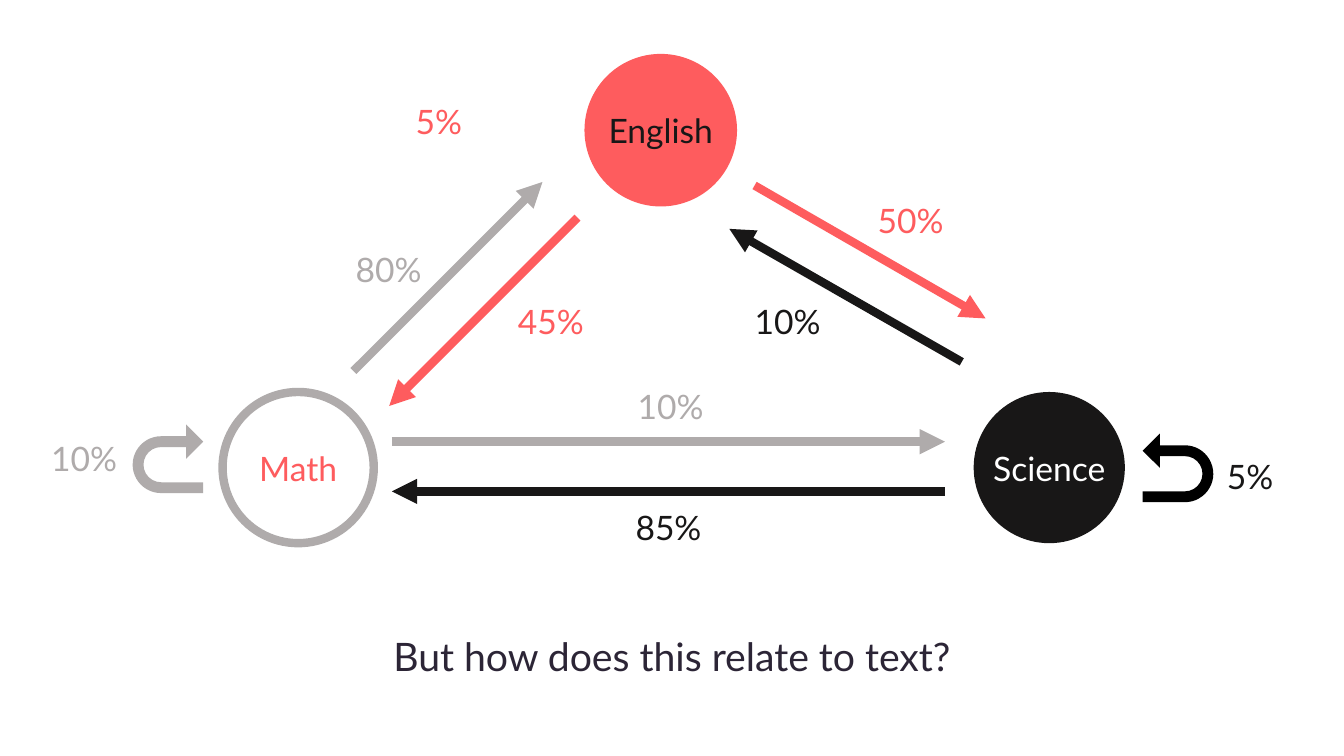
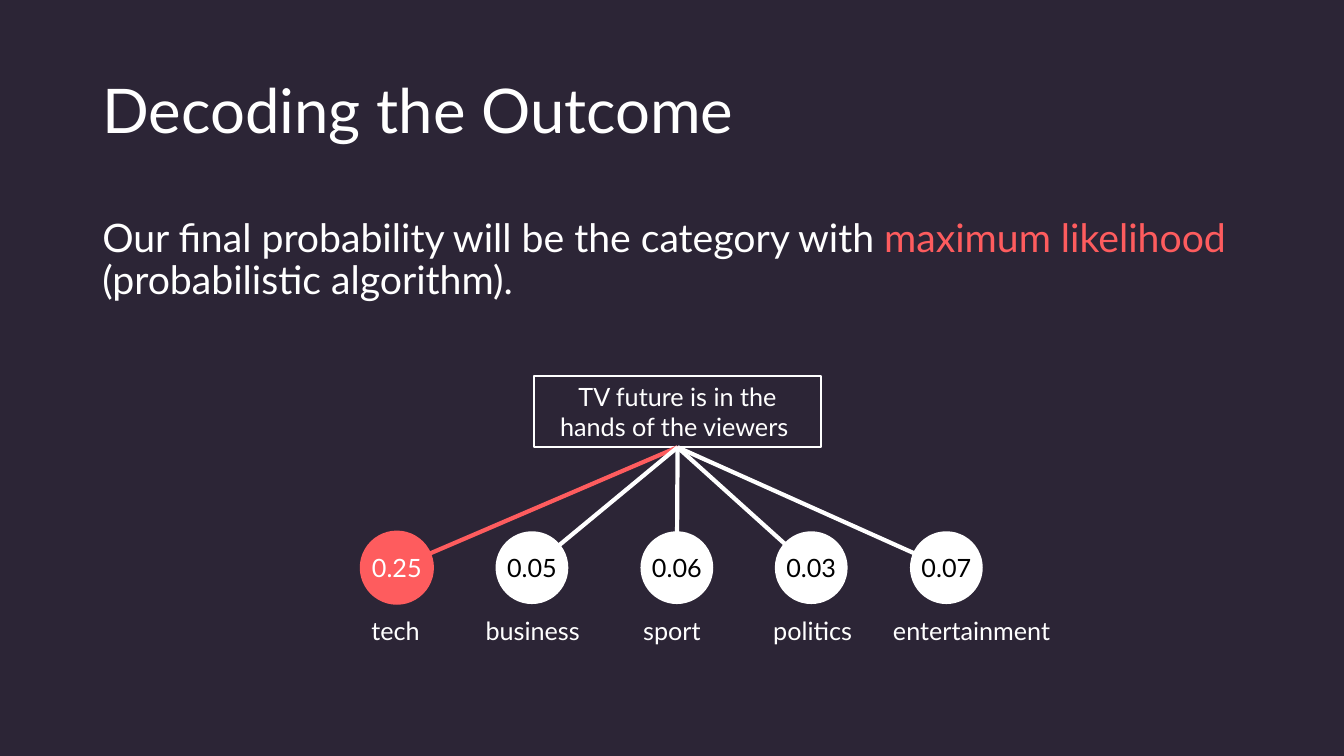
"""Build two slides: a subject transition diagram and the decoding of a category."""
import pptx
import pptx.util
import pptx.dml.color
import pptx.enum.shapes
import pptx.enum.text
import pptx.oxml
import pptx.oxml.ns

Pt = pptx.util.Pt
SHAPES = pptx.enum.shapes.MSO_SHAPE
ALIGN = pptx.enum.text.PP_ALIGN
ANCHOR = pptx.enum.text.MSO_ANCHOR
TITLE_ONLY, BLANK = 5, 6

COLORS = {
    "coral": "FE5C5E",
    "gray": "AFABAB",
    "ink": "181717",
    "black": "000000",
    "white": "FFFFFF",
    "night": "2C2536",
}


def rgb(name):
    return pptx.dml.color.RGBColor.from_string(COLORS[name])


def set_all(target, values):
    for name, value in values.items():
        setattr(target, name, value)


class Deck:
    font = "Lato"
    body_format = {"line_spacing": 0.9, "space_before": Pt(10)}

    def __init__(self):
        self.presentation = pptx.Presentation()
        set_all(self.presentation, {"slide_width": Pt(960), "slide_height": Pt(540)})
        self.slide = None

    def add_slide(self, layout, background):
        layouts = self.presentation.slide_layouts
        self.slide = self.presentation.slides.add_slide(layouts[layout])
        fill = self.slide.background.fill
        fill.solid()
        fill.fore_color.rgb = rgb(background)

    def add_text(self, shape, runs, size, align=ALIGN.CENTER, anchor=ANCHOR.MIDDLE,
                 paragraph_format=None, frame_format=None):
        frame = shape.text_frame
        set_all(frame, {"word_wrap": True, "vertical_anchor": anchor, **(frame_format or {})})
        paragraph = frame.paragraphs[0]
        set_all(paragraph, {"alignment": align, **(paragraph_format or {})})
        for text, color in runs:
            run = paragraph.add_run()
            run.text = text
            set_all(run.font, {"name": self.font, "size": Pt(size)})
            run.font.color.rgb = rgb(color)

    def title(self, text, color):
        shape = self.slide.shapes.title
        set_all(shape, {"left": Pt(66), "top": Pt(29), "width": Pt(828), "height": Pt(104.5)})
        self.add_text(shape, [(text, color)], 44, ALIGN.LEFT,
                      paragraph_format={"line_spacing": 0.9})

    def body(self, top, width, height, runs, align, anchor):
        box = self.slide.shapes.add_textbox(Pt(66), Pt(top), Pt(width), Pt(height))
        self.add_text(box, runs, 28, align, anchor, self.body_format)

    def label(self, x, y, text, color, size=24):
        width, height = 144, 36
        box = self.slide.shapes.add_textbox(
            Pt(x - width / 2), Pt(y - height / 2), Pt(width), Pt(height))
        self.add_text(box, [(text, color)], size)

    def shape(self, kind, left, top, width, height, fill=None, line=None, weight=1):
        shape = self.slide.shapes.add_shape(kind, Pt(left), Pt(top), Pt(width), Pt(height))
        shape.shadow.inherit = False
        for paint, color in ((shape.fill, fill), (shape.line.fill, line)):
            if color:
                paint.solid()
                paint.fore_color.rgb = rgb(color)
            else:
                paint.background()
        if line:
            shape.line.width = Pt(weight)
        return shape

    def circle(self, x, y, diameter, text, color, size, fill, line=None, weight=1):
        shape = self.shape(SHAPES.OVAL, x - diameter / 2, y - diameter / 2,
                           diameter, diameter, fill, line, weight)
        margins = dict.fromkeys(
            ("margin_left", "margin_right", "margin_top", "margin_bottom"), 0)
        self.add_text(shape, [(text, color)], size,
                      frame_format={**margins, "word_wrap": False})

    def loop_arrow(self, left, top, color, rotation, flipped=False):
        arrow = self.shape(SHAPES.U_TURN_ARROW, left, top, 49, 50.4, color)
        for index, value in enumerate((0.158, 0.25, 0.25, 0.438, 1)):
            arrow.adjustments[index] = value
        arrow.rotation = rotation
        if flipped:
            arrow.element.spPr.find(pptx.oxml.ns.qn("a:xfrm")).set("flipH", "1")

    def line(self, start, end, color, weight, arrowhead=False):
        connector = self.slide.shapes.add_connector(
            pptx.enum.shapes.MSO_CONNECTOR.STRAIGHT, *map(Pt, (*start, *end)))
        connector.line.color.rgb = rgb(color)
        connector.line.width = Pt(weight)
        properties = connector.element.spPr
        namespace = pptx.oxml.ns.nsdecls("a")
        if arrowhead:
            outline = properties.find(pptx.oxml.ns.qn("a:ln"))
            outline.append(pptx.oxml.parse_xml(f'<a:tailEnd {namespace} type="triangle"/>'))
        properties.append(pptx.oxml.parse_xml(f"<a:effectLst {namespace}/>"))
        return connector


def add_transitions(deck):
    deck.add_slide(BLANK, "white")
    for x, y, text, color, fill, line, weight in (
        (472, 93, "English", "ink", "coral", "coral", 1),
        (749.5, 334, "Science", "white", "ink", None, 1),
        (213, 334, "Math", "coral", "white", "gray", 6),
    ):
        deck.circle(x, y, 108, text, color, 24, fill, line, weight)
    for start, end, color in (
        ((675, 351), (280, 351), "ink"),
        ((280, 315.5), (675, 315.5), "gray"),
        ((412.5, 155.5), (278, 290), "coral"),
        ((252.5, 265), (387.5, 130), "gray"),
        ((687, 258.5), (521, 163.5), "ink"),
        ((539, 132.5), (704, 227.5), "coral"),
    ):
        deck.line(start, end, color, 6, arrowhead=True)
    deck.loop_arrow(817, 309, "black", 90, flipped=True)
    deck.loop_arrow(95.5, 302.5, "gray", 270)
    for x, y, text, color in (
        (313.5, 86.5, "5%", "coral"),
        (893, 340, "5%", "ink"),
        (60, 327.5, "10%", "gray"),
        (277.5, 192, "80%", "gray"),
        (479, 290, "10%", "gray"),
        (650.5, 157, "50%", "coral"),
        (393.5, 229, "45%", "coral"),
        (562.5, 229, "10%", "ink"),
        (477.5, 376.5, "85%", "ink"),
    ):
        deck.label(x, y, text, color)
    deck.body(433.5, 828, 73.5, [("But how does this relate to text?", "night")],
              ALIGN.CENTER, ANCHOR.MIDDLE)


def add_decoding(deck):
    deck.add_slide(TITLE_ONLY, "night")
    deck.title("Decoding the Outcome", "white")
    deck.body(152.5, 836, 81.5, [
        ("Our final probability will be the category with", "white"),
        (" maximum likelihood ", "coral"),
        ("(probabilistic algorithm).", "white"),
    ], ALIGN.LEFT, ANCHOR.TOP)
    headline = deck.shape(SHAPES.RECTANGLE, 381.5, 268.5, 205, 51, line="white", weight=1.5)
    deck.add_text(headline, [("TV future is in the hands of the viewers ", "white")], 18)
    circle_y = 405.5
    for x, label_x, value, category, fill, color, outline in (
        (283.5, 282.5, "0.25", "tech", "coral", "white", "coral"),
        (380, 380.5, "0.05", "business", "white", "black", None),
        (483.5, 480, "0.06", "sport", "white", "black", None),
        (579.5, 580.5, "0.03", "politics", "white", "black", None),
        (676, 694, "0.07", "entertainment", "white", "black", None),
    ):
        branch = deck.line((484, 319.5), (x, circle_y), fill, 3)
        branch.begin_connect(headline, 2)
        deck.circle(x, circle_y, 52, value, color, 18, fill, outline)
        deck.label(label_x, 450.5, category, "white", 18)


def main():
    deck = Deck()
    add_transitions(deck)
    add_decoding(deck)
    deck.presentation.save("out.pptx")


if __name__ == "__main__":
    main()
